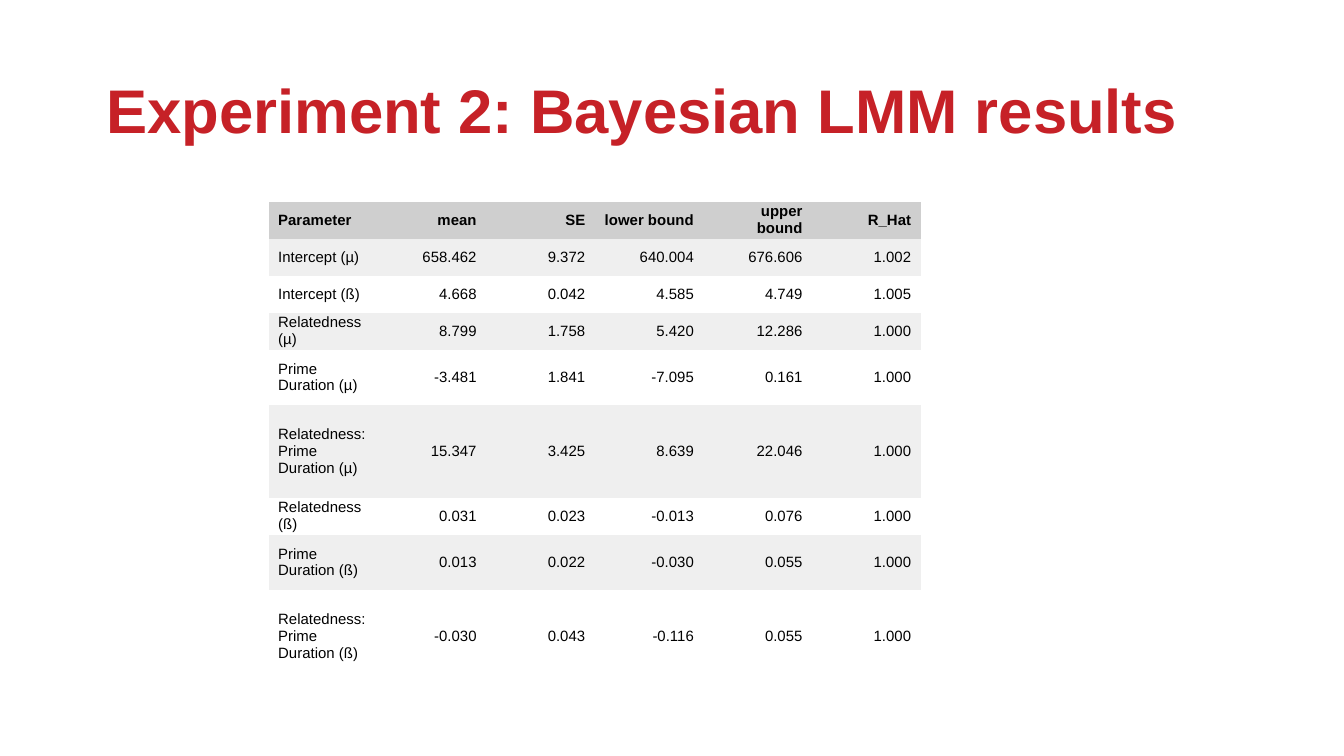
from typing import NamedTuple

from pptx import Presentation
from pptx.dml.color import RGBColor
from pptx.enum import text
from pptx.oxml import ns
from pptx.util import Inches, Pt

COLORS = {"title": "C62127", "text": "000000", "header": "CFCFCF", "band": "EFEFEF"}
FONT = "Arial"
NO_STYLE_NO_GRID = "{2D5ABB26-0587-4C30-8999-92F81FD0307C}"
SLIDE_SIZE = {"slide_width": Inches(10), "slide_height": Inches(10) * 9 // 16}
CELL_INDENT = Inches(0.07)
CELL_FORMAT = {
    "margin_left": 0, "margin_right": 0, "margin_top": 0, "margin_bottom": 0,
    "vertical_anchor": text.MSO_ANCHOR.MIDDLE,
}
CELL_SPACING = {"space_before": Pt(5), "space_after": Pt(5)}
TITLE_BOX = {
    "left": Inches(0.69), "top": Inches(0.3),
    "width": Inches(8.62), "height": Inches(1.09),
}
TITLE_FRAME = {
    "word_wrap": True, "auto_size": text.MSO_AUTO_SIZE.NONE,
    "vertical_anchor": text.MSO_ANCHOR.MIDDLE,
}
TABLE_WIDTH, TABLE_HEIGHT = Inches(4.85), Inches(3.58)


class Estimate(NamedTuple):
    """One table row; height_units is its share of the table height."""
    height_units: int
    parameter: str
    mean: str
    se: str
    lower: str
    upper: str
    r_hat: str


ESTIMATES = [
    Estimate(2, "Parameter", "mean", "SE", "lower bound", "upper bound", "R_Hat"),
    Estimate(2, "Intercept (µ)", "658.462", "9.372", "640.004", "676.606", "1.002"),
    Estimate(2, "Intercept (ß)", "4.668", "0.042", "4.585", "4.749", "1.005"),
    Estimate(2, "Relatedness (µ)", "8.799", "1.758", "5.420", "12.286", "1.000"),
    Estimate(3, "Prime Duration (µ)", "-3.481", "1.841", "-7.095", "0.161", "1.000"),
    Estimate(5, "Relatedness:Prime Duration (µ)", "15.347", "3.425", "8.639", "22.046", "1.000"),
    Estimate(2, "Relatedness (ß)", "0.031", "0.023", "-0.013", "0.076", "1.000"),
    Estimate(3, "Prime Duration (ß)", "0.013", "0.022", "-0.030", "0.055", "1.000"),
    Estimate(5, "Relatedness:Prime Duration (ß)", "-0.030", "0.043", "-0.116", "0.055", "1.000"),
]


def apply(target, values: dict) -> None:
    for name, value in values.items():
        setattr(target, name, value)


def format_font(font, size: float, color: str, bold: bool) -> None:
    apply(font, {"name": FONT, "size": Pt(size), "bold": bold})
    font.color.rgb = RGBColor.from_string(COLORS[color])


def add_title(slide, wording: str) -> None:
    title = slide.shapes.title
    apply(title, TITLE_BOX)
    apply(title.text_frame, TITLE_FRAME)
    heading = title.text_frame.paragraphs[0]
    apply(heading, {"alignment": text.PP_ALIGN.LEFT, "line_spacing": 0.9})
    run = heading.add_run()
    run.text = wording
    format_font(run.font, 33, "title", True)


def fill_cell(cell, wording: str, row: int, column: int) -> None:
    apply(cell, CELL_FORMAT)
    if row == 0 or row % 2:
        cell.fill.solid()
        cell.fill.fore_color.rgb = RGBColor.from_string(COLORS["band" if row else "header"])
    else:
        cell.fill.background()
    entry = cell.text_frame.paragraphs[0]
    apply(entry, CELL_SPACING)
    entry.alignment = text.PP_ALIGN.RIGHT if column else text.PP_ALIGN.LEFT
    properties = entry._p.get_or_add_pPr()
    for side in ("marL", "marR"):
        properties.set(side, str(CELL_INDENT))
    run = entry.add_run()
    run.text = wording
    format_font(run.font, 8, "text", row == 0)


def add_results(slide, estimates: list[Estimate]) -> None:
    column_count = len(Estimate._fields) - 1
    results = slide.shapes.add_table(
        len(estimates), column_count, Inches(2), Inches(1.5), TABLE_WIDTH, TABLE_HEIGHT
    ).table
    apply(results, {"first_row": False, "horz_banding": False})
    results._tbl.tblPr.find(ns.qn("a:tableStyleId")).text = NO_STYLE_NO_GRID
    total_units = sum(estimate.height_units for estimate in estimates)
    for row, (height_units, *entries) in enumerate(estimates):
        results.rows[row].height = TABLE_HEIGHT * height_units // total_units
        for column, wording in enumerate(entries):
            fill_cell(results.cell(row, column), wording, row, column)


def main() -> None:
    deck = Presentation()
    apply(deck, SLIDE_SIZE)
    slide = deck.slides.add_slide(deck.slide_layouts.get_by_name("Title Only"))
    add_title(slide, "Experiment 2: Bayesian LMM results")
    add_results(slide, ESTIMATES)
    deck.save("out.pptx")


if __name__ == "__main__":
    main()
